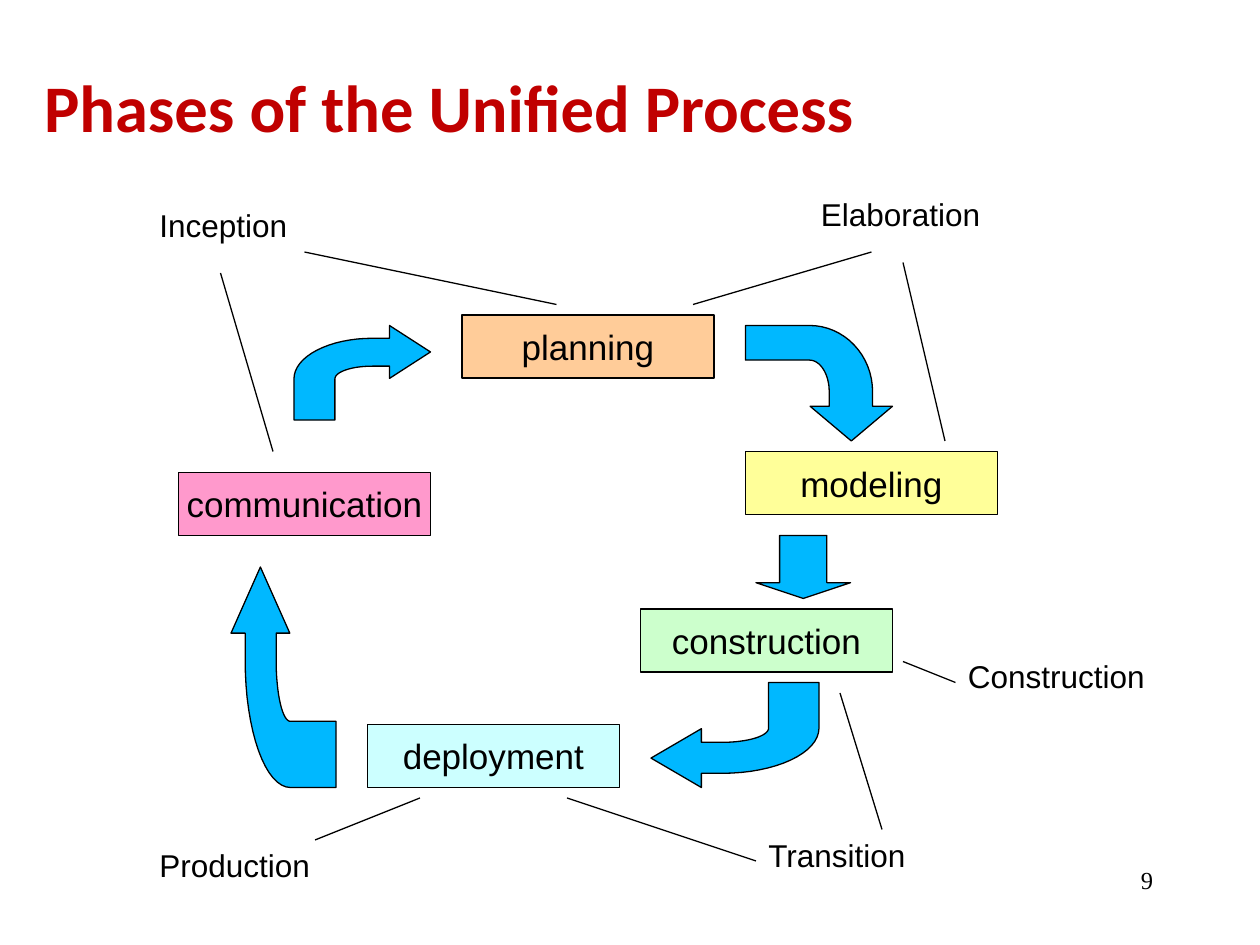
"""Build the slide on the phases of the Unified Process."""
from math import cos, pi, sin

from lxml.etree import SubElement
from pptx import Presentation
from pptx.dml.color import RGBColor
from pptx.enum.shapes import MSO_CONNECTOR, MSO_SHAPE
from pptx.enum.text import MSO_ANCHOR as ANCHOR, PP_ALIGN as ALIGN
from pptx.oxml.ns import qn
from pptx.util import Pt

COLORS = {
    "title": "C00000", "ink": "000000", "arrow": "00B8FF",
    "communication": "FF99CC", "planning": "FFCC99", "modeling": "FFFF99",
    "construction": "CCFFCC", "deployment": "CCFFFF",
}
TITLE = "Phases of the Unified Process"
PAGE = "9"
ACTIVITY_SIZE = (144, 36)
ACTIVITIES = [
    ("communication", 102, 270), ("planning", 264, 180), ("modeling", 426, 258),
    ("construction", 366, 348), ("deployment", 210, 414),
]
PHASES = [
    ("Inception", 84, 114, 105), ("Elaboration", 462, 108, 126),
    ("Construction", 546, 372, 138), ("Transition", 432, 474, 113),
    ("Production", 84, 480, 120),
]
LINKS = [
    (126, 156, 156, 258), (174, 144, 318, 174), (498, 144, 396, 174),
    (516, 150, 540, 252), (546, 390, 516, 378), (504, 474, 480, 396),
    (432, 492, 324, 456), (180, 480, 240, 456),
]
BENT_ARROWS = [
    (168, 186, 78, 54), (426, 186, 84, 66), (372, 390, 96, 60), (132, 324, 60, 126),
]
DOWN_ARROW = (432, 306, 54, 36)
HEAD, BEND_X, BEND_Y, STEM = 0.7, 0.575, 0.565, 0.3
SHAFT_TOP, TIP, SHAFT_BOTTOM = 0.135, 0.28, 0.43
ARC_STEPS = 16


def color(name):
    return RGBColor.from_string(COLORS[name])


def write(frame, text, size, font="Arial", ink="ink", bold=False, align=ALIGN.LEFT,
          anchor=ANCHOR.TOP, wrap=False, spacing=None):
    frame.word_wrap = wrap
    frame.vertical_anchor = anchor
    paragraph = frame.paragraphs[0]
    paragraph.alignment = align
    paragraph.line_spacing = spacing
    run = paragraph.add_run()
    run.text = text
    run.font.size, run.font.name, run.font.bold = Pt(size), font, bold
    run.font.color.rgb = color(ink)


def outline(shape, fill):
    shape.shadow.inherit = False
    shape.fill.solid()
    shape.fill.fore_color.rgb = color(fill)
    shape.line.color.rgb = color("ink")
    shape.line.width = Pt(0.75)


def arc(radius_x, radius_y):
    angles = [pi / 2 * step / ARC_STEPS for step in range(ARC_STEPS + 1)]
    return [(BEND_X - radius_x * sin(a), BEND_Y - radius_y * cos(a)) for a in angles]


def bent_arrow(shapes, turns, left, top, width, height):
    points = [(1, TIP), (HEAD, 0), (HEAD, SHAFT_TOP)]
    points += arc(BEND_X, BEND_Y - SHAFT_TOP) + [(0, 1), (STEM, 1)]
    points += arc(BEND_X - STEM, BEND_Y - SHAFT_BOTTOM)[::-1]
    points += [(HEAD, SHAFT_BOTTOM), (HEAD, 2 * TIP)]
    for _ in range(turns):
        points = [(1 - y, x) for x, y in points]
    start, *rest = [(Pt(left + x * width), Pt(top + y * height)) for x, y in points]
    builder = shapes.build_freeform(*start)
    builder.add_line_segments(rest, close=True)
    outline(builder.convert_to_shape(), "arrow")


deck = Presentation()
deck.slide_width, deck.slide_height = Pt(720), Pt(540)
slide = deck.slides.add_slide(deck.slide_layouts[5])
shapes = slide.shapes

title = shapes.title
title.left, title.top, title.width, title.height = Pt(18), Pt(18), Pt(612), Pt(90)
write(title.text_frame, TITLE, 38, font="Calibri", ink="title", bold=True,
      anchor=ANCHOR.MIDDLE, wrap=True, spacing=0.95)

page = shapes.add_textbox(Pt(516), Pt(492), Pt(150), Pt(23))
write(page.text_frame, PAGE, 14, font="Times New Roman", align=ALIGN.RIGHT,
      wrap=True, spacing=0.95)

for name, left, top in ACTIVITIES:
    activity = shapes.add_shape(MSO_SHAPE.RECTANGLE, Pt(left), Pt(top),
                                *map(Pt, ACTIVITY_SIZE))
    outline(activity, name)
    write(activity.text_frame, name, 20, align=ALIGN.CENTER, anchor=ANCHOR.MIDDLE)

for turns, box in enumerate(BENT_ARROWS):
    bent_arrow(shapes, turns, *box)

down_arrow = shapes.add_shape(MSO_SHAPE.DOWN_ARROW, *map(Pt, DOWN_ARROW))
down_arrow.adjustments[0], down_arrow.adjustments[1] = 0.5, 0.25
outline(down_arrow, "arrow")

for name, left, top, width in PHASES:
    phase = shapes.add_textbox(Pt(left), Pt(top), Pt(width), Pt(36))
    write(phase.text_frame, name, 18)

for ends in LINKS:
    link = shapes.add_connector(MSO_CONNECTOR.STRAIGHT, *map(Pt, ends))
    link.line.color.rgb = color("ink")
    link.line.width = Pt(0.75)
    SubElement(link._element.spPr, qn("a:effectLst"))

deck.save("out.pptx")
